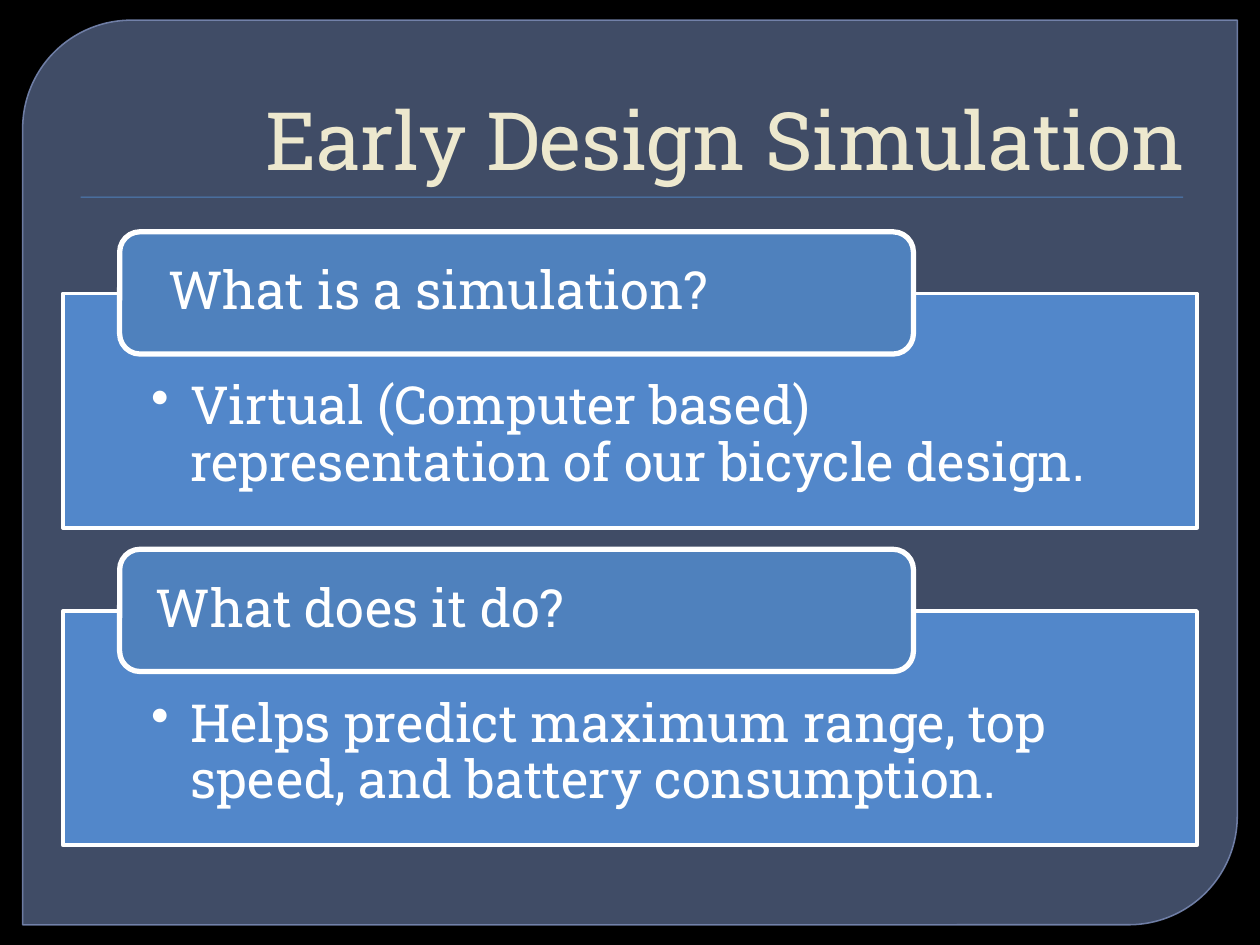
"""Build the Early Design Simulation slide with two headed panels."""
from lxml.etree import SubElement
from pptx import Presentation
from pptx.dml.color import RGBColor
from pptx.enum.shapes import MSO_SHAPE
from pptx.enum.text import MSO_ANCHOR, MSO_AUTO_SIZE, PP_ALIGN
from pptx.oxml.ns import qn
from pptx.util import Inches, Pt

TITLE = "Early Design Simulation"
SECTIONS = [
    ("What is a simulation?", 0.1,
     "Virtual (Computer based) representation of our bicycle design."),
    ("What does it do?", 0,
     "Helps predict maximum range, top speed, and battery consumption."),
]
FONT = "Roboto Slab"
BLACK = RGBColor(0x00, 0x00, 0x00)
SLATE = RGBColor(0x63, 0x75, 0x9D)
EDGE = RGBColor(0x79, 0x89, 0xB3)
BLUE = RGBColor(0x4F, 0x81, 0xBD)
SKY = RGBColor(0x55, 0x8E, 0xD5)
CREAM = RGBColor(0xED, 0xE8, 0xCE)
WHITE = RGBColor(0xFF, 0xFF, 0xFF)
FIRST_TOP, SECTION_STEP, BODY_DROP = 1.84, 2.52, 0.49


def set_alpha(fill, percent):
    color = fill._xPr.find(qn("a:solidFill"))[0]
    SubElement(color, qn("a:alpha"), val=str(percent * 1000))


def add_box(page, kind, place, color, alpha=100, line=None, width=0):
    box = page.shapes.add_shape(kind, *map(Inches, place))
    box.shadow.inherit = False
    box.fill.solid()
    box.fill.fore_color.rgb = color
    if alpha < 100:
        set_alpha(box.fill, alpha)
    if line is None:
        box.line.fill.background()
    else:
        box.line.color.rgb = line
        box.line.width = Pt(width)
    return box


def write(box, text, size, color, align, anchor, insets=None):
    frame = box.text_frame
    frame.word_wrap = True
    frame.auto_size = MSO_AUTO_SIZE.NONE
    frame.vertical_anchor = anchor
    if insets:
        (frame.margin_left, frame.margin_top,
         frame.margin_right, frame.margin_bottom) = map(Inches, insets)
    frame.text = text
    para = frame.paragraphs[0]
    para.alignment = align
    para.font.name = FONT
    para.font.size = Pt(size)
    para.font.color.rgb = color
    return para


def indent(para, left, hanging=0, bullet=None):
    properties = para._p.get_or_add_pPr()
    properties.set("marL", str(Inches(left)))
    properties.set("indent", str(-Inches(hanging)))
    if bullet:
        mark = properties.makeelement(qn("a:buChar"), {"char": bullet})
        properties.find(qn("a:defRPr")).addprevious(mark)


def add_section(page, top, heading, heading_indent, body):
    panel = add_box(page, MSO_SHAPE.RECTANGLE, (0.5, top + BODY_DROP, 9, 1.86),
                    SKY, 90, WHITE, 2.25)
    para = write(panel, body, 30, WHITE, PP_ALIGN.LEFT, MSO_ANCHOR.TOP,
                 (0.7, 0.68, 0.7, 0.23))
    indent(para, 0.31, 0.31, "•")
    para.line_spacing = 0.9
    label = add_box(page, MSO_SHAPE.ROUNDED_RECTANGLE, (0.95, top, 6.3, 0.97),
                    BLUE, line=WHITE, width=3)
    para = write(label, heading, 30, WHITE, PP_ALIGN.LEFT, MSO_ANCHOR.MIDDLE,
                 (0.24, 0, 0.24, 0))
    indent(para, heading_indent)
    para.line_spacing = 0.9


def main():
    deck = Presentation()
    deck.slide_width, deck.slide_height = Inches(10), Inches(7.5)
    page = deck.slides.add_slide(deck.slide_layouts[5])
    page.background.fill.solid()
    page.background.fill.fore_color.rgb = BLACK

    backdrop = add_box(page, MSO_SHAPE.ROUND_2_DIAG_RECTANGLE,
                       (0.18, 0.16, 9.64, 7.18), SLATE, 65, EDGE, 0.87)
    backdrop.adjustments[0] = 0.12
    set_alpha(backdrop.line.fill, 88)
    add_box(page, MSO_SHAPE.RECTANGLE, (0.64, 1.56, 8.75, 0.01), BLUE)

    title = page.shapes.title
    title.left, title.top, title.width, title.height = map(
        Inches, (0.5, 0.28, 9, 1.25))
    para = write(title, TITLE, 46, CREAM, PP_ALIGN.RIGHT, MSO_ANCHOR.BOTTOM)
    indent(para, 0.06)
    page.shapes._spTree.append(title._element)

    for index, section in enumerate(SECTIONS):
        add_section(page, FIRST_TOP + index * SECTION_STEP, *section)
    deck.save("out.pptx")


if __name__ == "__main__":
    main()
